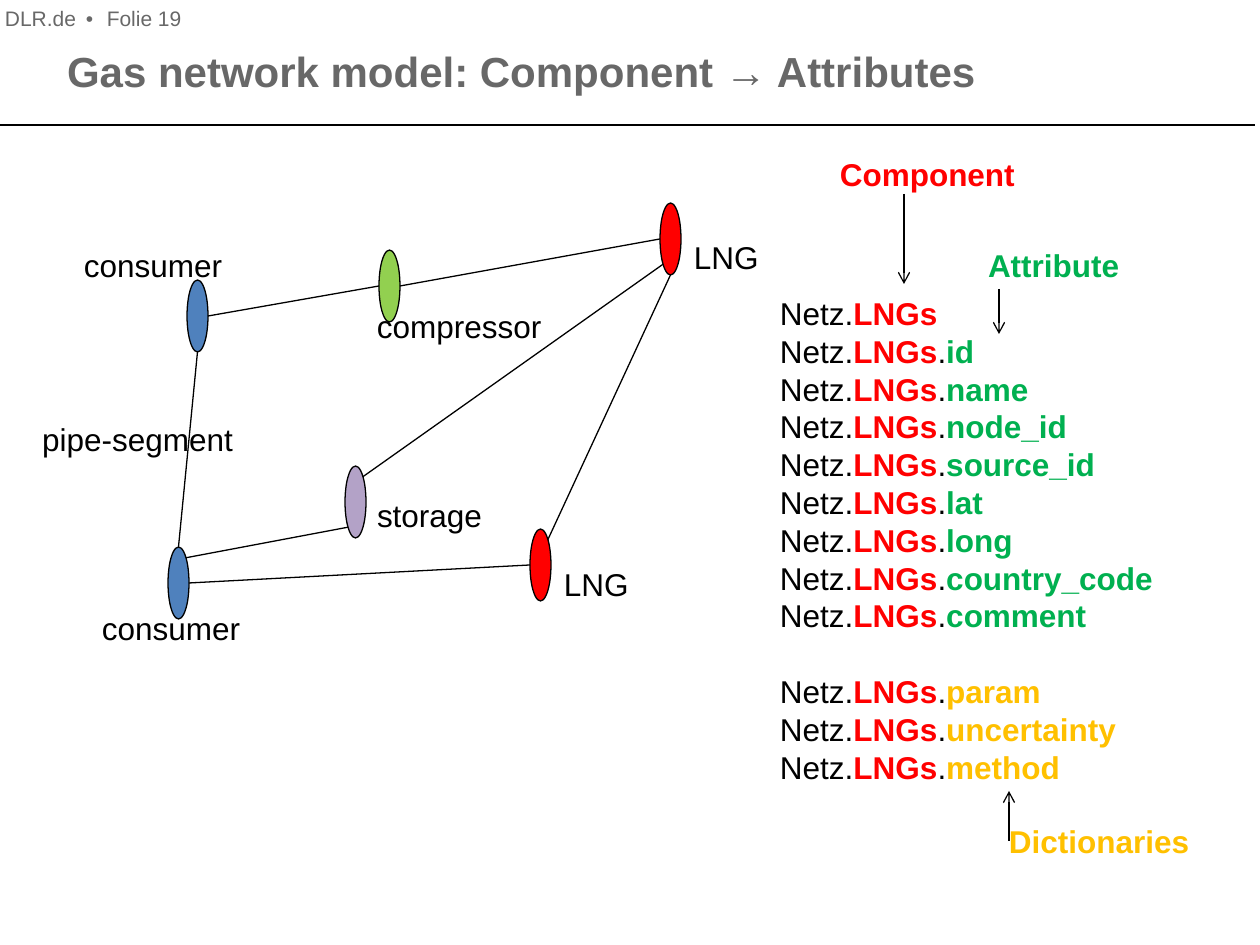
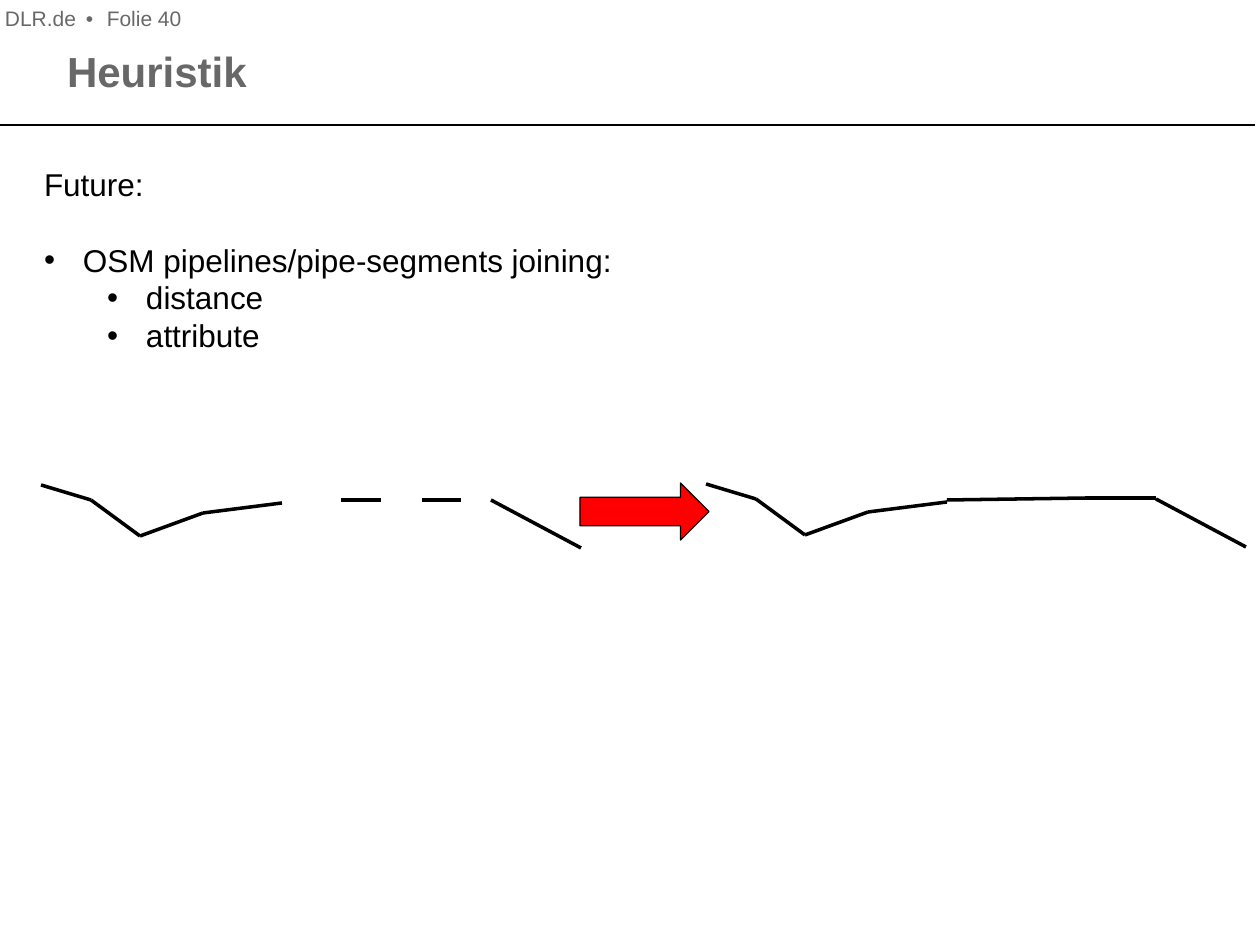
from itertools import pairwise

from lxml import etree
from pptx import Presentation
from pptx.dml.color import RGBColor
from pptx.enum.shapes import MSO_CONNECTOR, MSO_SHAPE
from pptx.enum.text import MSO_ANCHOR, MSO_AUTO_SIZE, PP_ALIGN
from pptx.oxml.ns import qn
from pptx.util import Emu, Pt

STRAIGHT = MSO_CONNECTOR.STRAIGHT
OVAL, RIGHT_ARROW = MSO_SHAPE.OVAL, MSO_SHAPE.RIGHT_ARROW
TOP, LEFT, NO_AUTOFIT = MSO_ANCHOR.TOP, PP_ALIGN.LEFT, MSO_AUTO_SIZE.NONE

EMU_PER_PX = 914400 / 126
FONT = "Arial"
TEXT_SIZE = 18
LINE_FACTOR = 1.2
LINE_HEIGHT = 38
COLORS = {
    "black": "000000",
    "gray": "686868",
    "red": "FF0000",
    "green": "00B050",
    "gold": "FFC000",
    "blue": "4F81BD",
    "lilac": "B3A2C7",
    "lime": "92D050",
}

NODE_WIDTH, NODE_HEIGHT = 21, 72
NODES = {
    "north consumer": (145, 77, "blue"),
    "storage": (303, 263, "lilac"),
    "compressor": (337, 47, "lime"),
    "south consumer": (126, 344, "blue"),
    "south LNG": (488, 326, "red"),
    "north LNG": (618, 0, "red"),
}
OVAL_SITES = {
    "top": (0, 0.5, 0),
    "left": (2, 0, 0.5),
    "bottom left": (3, 0.15, 0.85),
    "bottom": (4, 0.5, 1),
    "right": (6, 1, 0.5),
    "top right": (7, 0.85, 0.15),
}
PIPES = [
    ("north consumer", "right", "compressor", "left"),
    ("compressor", "right", "north LNG", "left"),
    ("north LNG", "bottom left", "storage", "top right"),
    ("north LNG", "bottom", "south LNG", "top right"),
    ("north consumer", "bottom", "south consumer", "top"),
    ("south consumer", "top right", "storage", "bottom left"),
    ("south consumer", "right", "south LNG", "left"),
]
NETWORK_LABELS = [
    ("LNG", 652, 35, 66),
    ("LNG", 522, 362, 66),
    ("storage", 335, 293, 106),
    ("compressor", 335, 104, 166),
    ("consumer", 42, 43, 140),
    ("consumer", 60, 406, 140),
    ("pipe-segment", 0, 217, 193),
]

ATTRIBUTES = ["id", "name", "node_id", "source_id", "lat", "long", "country_code", "comment"]
DICTIONARIES = ["param", "uncertainty", "method"]
LEGEND = [
    ("Component", "red", (60, -139, 176), (124, -100, 124, -10)),
    ("Attribute", "green", (208, -48, 132), (219, -5, 219, 40)),
    ("Dictionaries", "gold", (229, 528, 181), (229, 547, 229, 497)),
]

PIPE_START = [(0, 0), (50, 15), (99, 51), (162, 28), (241, 18)]
PIPE_END = [(450, 15), (540, 63)]
BROKEN_MIDDLE = [[(300, 15), (340, 15)], [(381, 15), (420, 15)]]
JOINED_MIDDLE = [[(241, 16), (380, 14), (450, 14)]]


def px(length):
    return Emu(round(length * EMU_PER_PX))


def color(name):
    return RGBColor.from_string(COLORS[name])


def place(shape, left, top, width, height):
    shape.left, shape.top = px(left), px(top)
    shape.width, shape.height = px(width), px(height)


def prepare_frame(text_frame, wrap):
    text_frame.word_wrap = wrap
    text_frame.auto_size = NO_AUTOFIT
    text_frame.vertical_anchor = TOP
    text_frame.margin_left = text_frame.margin_right = 0
    text_frame.margin_top = text_frame.margin_bottom = 0


def format_run(run, size, color_name, bold):
    run.font.name = FONT
    run.font.size = Pt(size)
    run.font.bold = bold
    run.font.color.rgb = color(color_name)


def format_paragraph(paragraph, size=TEXT_SIZE, color_name="black", bold=False, gap=False):
    spacing = Pt(size * LINE_FACTOR)
    paragraph.alignment = LEFT
    paragraph.line_spacing = spacing
    paragraph.space_before = spacing if gap else Pt(0)
    for run in paragraph.runs:
        format_run(run, size, color_name, bold)


def add_label(slide, text, left, top, width, color_name="black", bold=False):
    label = slide.shapes.add_textbox(px(left), px(top), px(width), px(LINE_HEIGHT))
    prepare_frame(label.text_frame, False)
    label.text_frame.text = text
    format_paragraph(label.text_frame.paragraphs[0], TEXT_SIZE, color_name, bold)


def add_line(slide, x1, y1, x2, y2, width=0.75, arrow=False):
    line = slide.shapes.add_connector(STRAIGHT, px(x1), px(y1), px(x2), px(y2))
    line.line.color.rgb = color("black")
    line.line.width = Pt(width)
    if arrow:
        etree.SubElement(line.line._get_or_add_ln(), qn("a:tailEnd"), type="arrow")
    etree.SubElement(line._element.spPr, qn("a:effectLst"))
    return line


def add_filled_shape(slide, kind, left, top, width, height, fill):
    shape = slide.shapes.add_shape(kind, px(left), px(top), px(width), px(height))
    shape.shadow.inherit = False
    shape.fill.solid()
    shape.fill.fore_color.rgb = color(fill)
    shape.line.color.rgb = color("black")
    shape.line.width = Pt(0.75)
    return shape


def add_page_line(slide, number):
    box = slide.shapes.add_textbox(px(5), px(6), px(215), px(19))
    prepare_frame(box.text_frame, True)
    paragraph = box.text_frame.paragraphs[0]
    for text in ("DLR.de", " • ", f"Folie {number}"):
        paragraph.add_run().text = text
    format_paragraph(paragraph, 12, "gray")
    paragraph.runs[1]._r.get_or_add_rPr().set("spc", "222")


def add_base_slide(presentation, layout_index, title, number):
    slide = presentation.slides.add_slide(presentation.slide_layouts[layout_index])
    place(slide.shapes.title, 67, 45, 1126, 69)
    text_frame = slide.shapes.title.text_frame
    prepare_frame(text_frame, True)
    text_frame.text = title
    format_paragraph(text_frame.paragraphs[0], 24, "gray", True)
    add_line(slide, -5, 125, 1255, 125)
    add_page_line(slide, number)
    return slide


def add_network(slide, left, top):
    ovals = {
        name: add_filled_shape(slide, OVAL, left + x, top + y, NODE_WIDTH, NODE_HEIGHT, fill)
        for name, (x, y, fill) in NODES.items()
    }

    def site_point(name, side):
        x, y, _ = NODES[name]
        _, across, down = OVAL_SITES[side]
        return left + x + across * NODE_WIDTH, top + y + down * NODE_HEIGHT

    for start, start_side, end, end_side in PIPES:
        pipe = add_line(slide, *site_point(start, start_side), *site_point(end, end_side))
        joints = pipe._element.nvCxnSpPr.cNvCxnSpPr
        for tag, name, side in (("a:stCxn", start, start_side), ("a:endCxn", end, end_side)):
            site = str(OVAL_SITES[side][0])
            etree.SubElement(joints, qn(tag), id=str(ovals[name].shape_id), idx=site)
    for text, x, y, width in NETWORK_LABELS:
        add_label(slide, text, left + x, top + y, width)


def add_attribute_list(slide, left, top):
    box = slide.shapes.add_textbox(px(left), px(top), px(377), px(496))
    prepare_frame(box.text_frame, False)
    entries = [(None, None)]
    entries += [(name, "green") for name in ATTRIBUTES]
    entries += [(name, "gold") for name in DICTIONARIES]
    for index, (name, name_color) in enumerate(entries):
        paragraph = box.text_frame.add_paragraph() if index else box.text_frame.paragraphs[0]
        parts = [("Netz.", "black", False), ("LNGs", "red", True)]
        if name:
            parts += [(".", "black", False), (name, name_color, True)]
        for text, _, _ in parts:
            paragraph.add_run().text = text
        format_paragraph(paragraph, gap=name == DICTIONARIES[0])
        for run, (_, part_color, bold) in zip(paragraph.runs, parts):
            format_run(run, TEXT_SIZE, part_color, bold)
    for text, label_color, (x, y, width), (x1, y1, x2, y2) in LEGEND:
        add_line(slide, left + x1, top + y1, left + x2, top + y2, arrow=True)
        add_label(slide, text, left + x, top + y, width, label_color, True)


def set_bullet(paragraph, margin):
    properties = paragraph._p.get_or_add_pPr()
    properties.set("marL", str(px(margin)))
    properties.set("indent", str(px(-39 if margin else 0)))
    if margin:
        etree.SubElement(properties, qn("a:buFont"), typeface=FONT)
        etree.SubElement(properties, qn("a:buChar"), char="•")
    else:
        etree.SubElement(properties, qn("a:buNone"))


def add_future_list(slide, left, top):
    body = slide.placeholders[1]
    place(body, left, top, 700, 5 * LINE_HEIGHT)
    prepare_frame(body.text_frame, True)
    items = [
        ("Future:", 0, 0),
        ("OSM pipelines/pipe-segments joining:", 0, 39),
        ("distance", 1, 102),
        ("attribute", 1, 102),
    ]
    body.text_frame.text = "\n".join(text for text, _, _ in items)
    for index, (_, level, margin) in enumerate(items):
        paragraph = body.text_frame.paragraphs[index]
        paragraph.level = level
        set_bullet(paragraph, margin)
        format_paragraph(paragraph, gap=index == 1)


def add_pipeline(slide, left, top, middle):
    for section in (PIPE_START, *middle, PIPE_END):
        for (x1, y1), (x2, y2) in pairwise(section):
            add_line(slide, left + x1, top + y1, left + x2, top + y2, 2)


def add_joining_diagram(slide, left, top):
    add_pipeline(slide, left, top, BROKEN_MIDDLE)
    add_pipeline(slide, left + 665, top - 1, JOINED_MIDDLE)
    add_filled_shape(slide, RIGHT_ARROW, left + 539, top - 2, 129, 57, "red")


def main():
    presentation = Presentation()
    presentation.slide_width, presentation.slide_height = px(1260), px(945)

    model_slide = add_base_slide(
        presentation, 5, "Gas network model: Component → Attributes", 19
    )
    add_network(model_slide, 42, 203)
    add_attribute_list(model_slide, 780, 294)

    heuristic_slide = add_base_slide(presentation, 1, "Heuristik", 40)
    add_future_list(heuristic_slide, 44, 165)
    add_joining_diagram(heuristic_slide, 41, 485)

    presentation.save("out.pptx")


if __name__ == "__main__":
    main()
